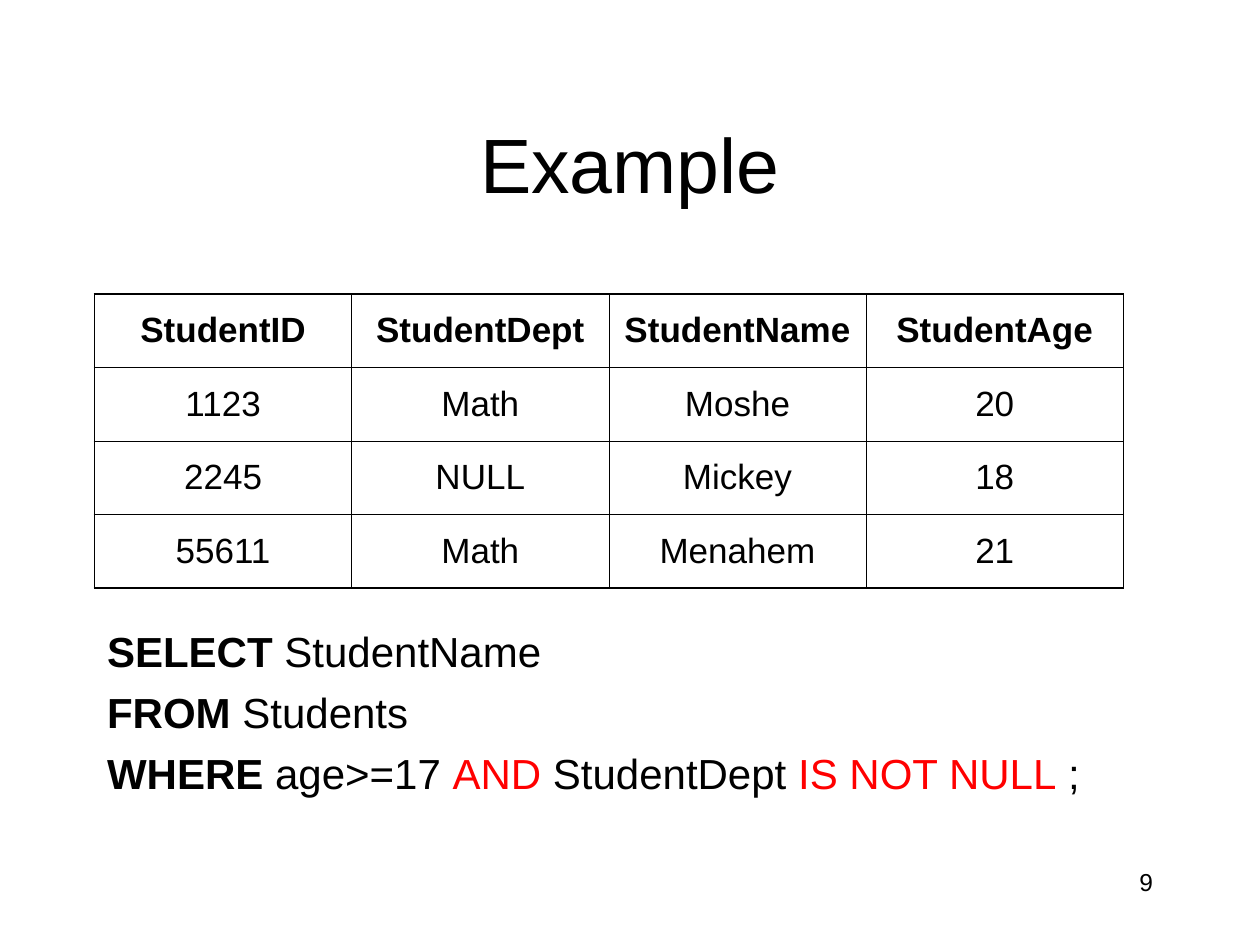
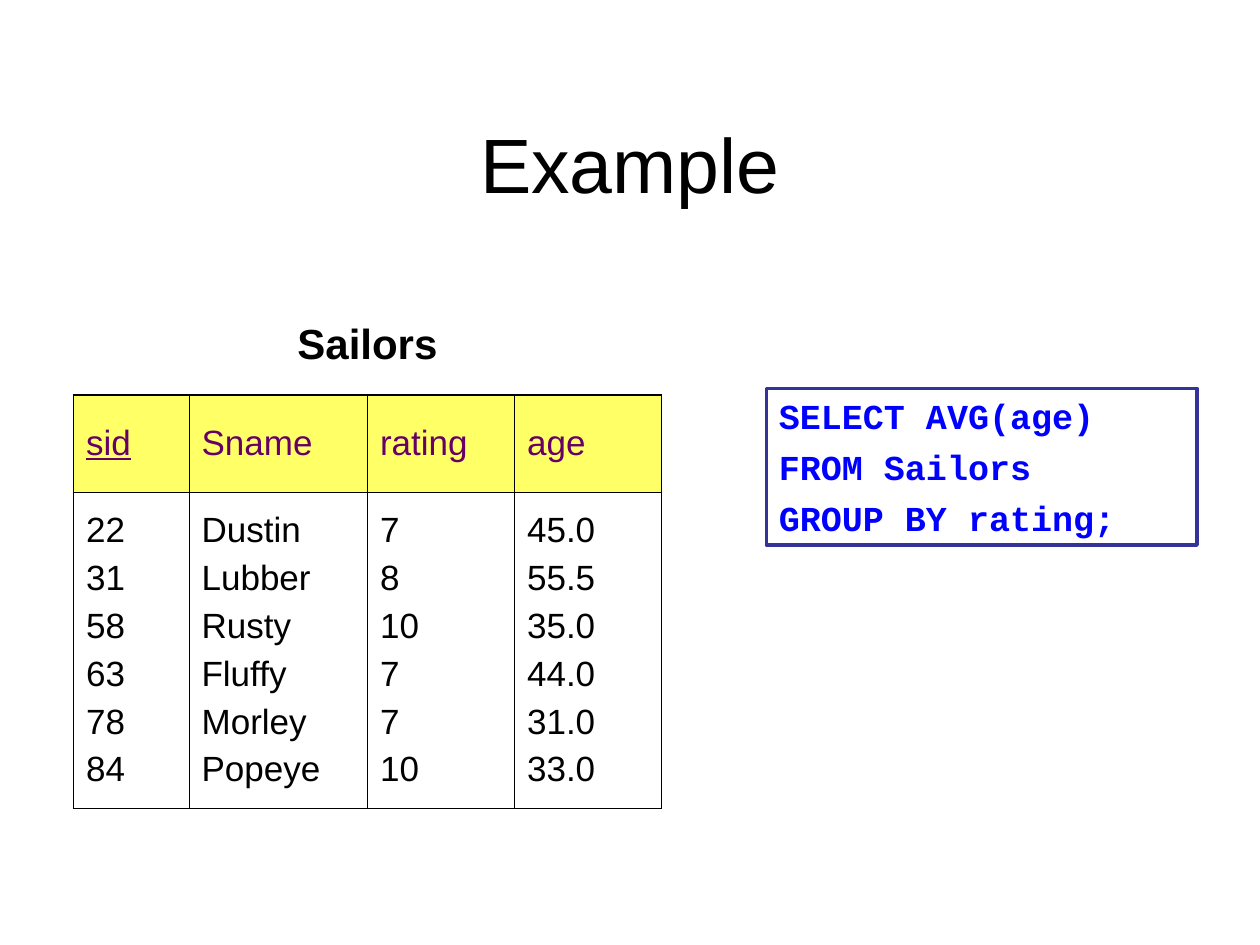
from lxml.etree import SubElement
from pptx import Presentation
from pptx.dml.color import RGBColor
from pptx.enum.shapes import MSO_SHAPE as Shape
from pptx.enum.text import MSO_ANCHOR as Anchor, MSO_AUTO_SIZE as AutoSize, PP_ALIGN as Align
from pptx.oxml import parse_xml
from pptx.oxml.ns import nsdecls, qn
from pptx.util import Inches, Pt

BLACK = RGBColor(0x00, 0x00, 0x00)
WHITE = RGBColor(0xFF, 0xFF, 0xFF)
RED = RGBColor(0xFF, 0x00, 0x00)
BLUE = RGBColor(0x00, 0x00, 0xFF)
NAVY = RGBColor(0x33, 0x33, 0x99)
PURPLE = RGBColor(0x66, 0x00, 0x66)
YELLOW = RGBColor(0xFF, 0xFF, 0x66)

SANS, MONO = "Arial", "Courier New"
OUTER, INNER = 1.08, 0.45
TITLE_LAYOUT, LIST_LAYOUT = 5, 1
UNIT = Inches(1) / 12  # the slide is a grid of 120 columns by 90 rows

STUDENTS = [
    ["StudentID", "StudentDept", "StudentName", "StudentAge"],
    ["1123", "Math", "Moshe", "20"],
    ["2245", "NULL", "Mickey", "18"],
    ["55611", "Math", "Menahem", "21"],
]
QUERY = [
    [("SELECT ", True, BLACK), ("StudentName", False, BLACK)],
    [("FROM ", True, BLACK), ("Students ", False, BLACK)],
    [("WHERE ", True, BLACK), ("age>=17 ", False, BLACK), ("AND", False, RED),
     (" StudentDept ", False, BLACK), ("IS NOT NULL", False, RED), (" ;", False, BLACK)],
]
SAILORS = {
    "sid": ["22", "31", "58", "63", "78", "84"],
    "Sname": ["Dustin", "Lubber", "Rusty", "Fluffy", "Morley", "Popeye"],
    "rating": ["7", "8", "10", "7", "7", "10"],
    "age": ["45.0", "55.5", "35.0", "44.0", "31.0", "33.0"],
}


def units(*counts):
    return [round(count * UNIT) for count in counts]


def place(box, *area):
    box.left, box.top, box.width, box.height = units(*area)


def style_span(span, size, color=BLACK, bold=False, font=SANS):
    span.font.name, span.font.size = font, Pt(size)
    span.font.bold, span.font.color.rgb = bold, color


def write(frame, text, size, align=Align.LEFT, before=0, **look):
    """Fill a frame with one paragraph per line, all in one look."""
    frame.text = text
    for para in frame.paragraphs:
        para.alignment, para.space_before = align, Pt(before)
        for span in para.runs:
            style_span(span, size, **look)


def add_page(deck, layout, title):
    page = deck.slides.add_slide(deck.slide_layouts[layout])
    box = page.shapes.title
    place(box, 9, 8, 102, 15)
    frame = box.text_frame
    frame.auto_size, frame.vertical_anchor = AutoSize.NONE, Anchor.MIDDLE
    write(frame, title, 44, Align.CENTER)
    return page


def fill_query(box, lines):
    """Write unbulleted lines, each made of differently styled spans."""
    place(box, 9, 59, 102, 21)
    frame = box.text_frame
    frame.auto_size = AutoSize.NONE
    frame.text = "\n".join("" for _ in lines)
    for para, line in zip(frame.paragraphs, lines):
        para.space_before = Pt(6)
        props = para._p.get_or_add_pPr()
        props.set("marL", str(Inches(0.38)))
        props.set("indent", str(-Inches(0.38)))
        SubElement(props, qn("a:buNone"))
        for text, bold, color in line:
            span = para.add_run()
            span.text = text
            style_span(span, 24, color, bold)


def add_page_number(page, number):
    box = page.shapes.add_textbox(*units(86, 82, 25, 6))
    box.text_frame.word_wrap = True
    write(box.text_frame, str(number), 14, Align.RIGHT)


# Tables

def add_grid(page, left, top, columns, rows):
    area = units(left, top, sum(columns), sum(rows))
    table = page.shapes.add_table(len(rows), len(columns), *area).table
    table.first_row = table.horz_banding = False
    for column, width in zip(table.columns, units(*columns)):
        column.width = width
    for row, height in zip(table.rows, units(*rows)):
        row.height = height
    return table


def fill_cell(cell, text, size=20, fill=None, before=5, **look):
    cell.vertical_anchor = Anchor.MIDDLE
    if fill is None:
        cell.fill.background()
    else:
        cell.fill.solid()
        cell.fill.fore_color.rgb = fill
    write(cell.text_frame, text, size, before=before, **look)


def set_borders(cell, widths):
    """Draw left, right, top and bottom borders; a width of 0 hides one."""
    props = cell._tc.get_or_add_tcPr()
    for place_in_order, (side, width) in enumerate(zip("LRTB", widths)):
        paint = f'<a:solidFill><a:srgbClr val="{BLACK}"/></a:solidFill>' if width else "<a:noFill/>"
        line = parse_xml(f'<a:ln{side} {nsdecls("a")} w="{Pt(width)}">{paint}</a:ln{side}>')
        props.insert(place_in_order, line)


def frame_table(table, first_row=0):
    """Thick outline and thin inner lines, from first_row down."""
    last_row, last_column = len(table.rows) - 1, len(table.columns) - 1
    for row in range(last_row + 1):
        for column in range(last_column + 1):
            if row < first_row:
                widths = (0, 0, 0, OUTER if row == first_row - 1 else 0)
            else:
                edges = (column == 0, column == last_column, row == first_row, row == last_row)
                widths = [OUTER if edge else INNER for edge in edges]
            set_borders(table.cell(row, column), widths)


def add_students(page):
    table = add_grid(page, 9, 28, [24.5] * 4, [7] * 4)
    for row, values in enumerate(STUDENTS):
        for column, text in enumerate(values):
            fill_cell(table.cell(row, column), text, align=Align.CENTER, bold=row == 0)
    frame_table(table)


def add_sailors(page):
    table = add_grid(page, 7, 28, [11, 17, 14, 14], [9.6, 9.25, 30.15])
    caption = table.cell(0, 0)
    caption.merge(table.cell(0, 3))
    fill_cell(caption, "Sailors", 24, WHITE, before=6, align=Align.CENTER, bold=True)
    for column, (name, values) in enumerate(SAILORS.items()):
        fill_cell(table.cell(1, column), name, fill=YELLOW, color=PURPLE)
        fill_cell(table.cell(2, column), "\n".join(values))
    key = table.cell(1, 0).text_frame.paragraphs[0].runs[0]
    key.font.underline = True
    frame_table(table, first_row=1)


def add_code_box(page, code):
    box = page.shapes.add_shape(Shape.RECTANGLE, *units(73, 37, 41, 14.9))
    box.shadow.inherit = False
    box.fill.solid()
    box.fill.fore_color.rgb = WHITE
    box.line.color.rgb, box.line.width = NAVY, Pt(2.24)
    frame = box.text_frame
    frame.word_wrap, frame.vertical_anchor = True, Anchor.TOP
    frame.auto_size = AutoSize.SHAPE_TO_FIT_TEXT
    write(frame, code, 20, before=5, color=BLUE, bold=True, font=MONO)


def main():
    deck = Presentation()
    deck.slide_width, deck.slide_height = units(120, 90)

    # Filtering out NULL values
    page = add_page(deck, LIST_LAYOUT, "Example")
    fill_query(page.placeholders[1], QUERY)
    add_students(page)
    add_page_number(page, 9)

    # Averaging by group
    page = add_page(deck, TITLE_LAYOUT, "Example")
    add_sailors(page)
    add_code_box(page, "SELECT AVG(age)\nFROM Sailors\nGROUP BY rating;")

    deck.save("out.pptx")


main()
